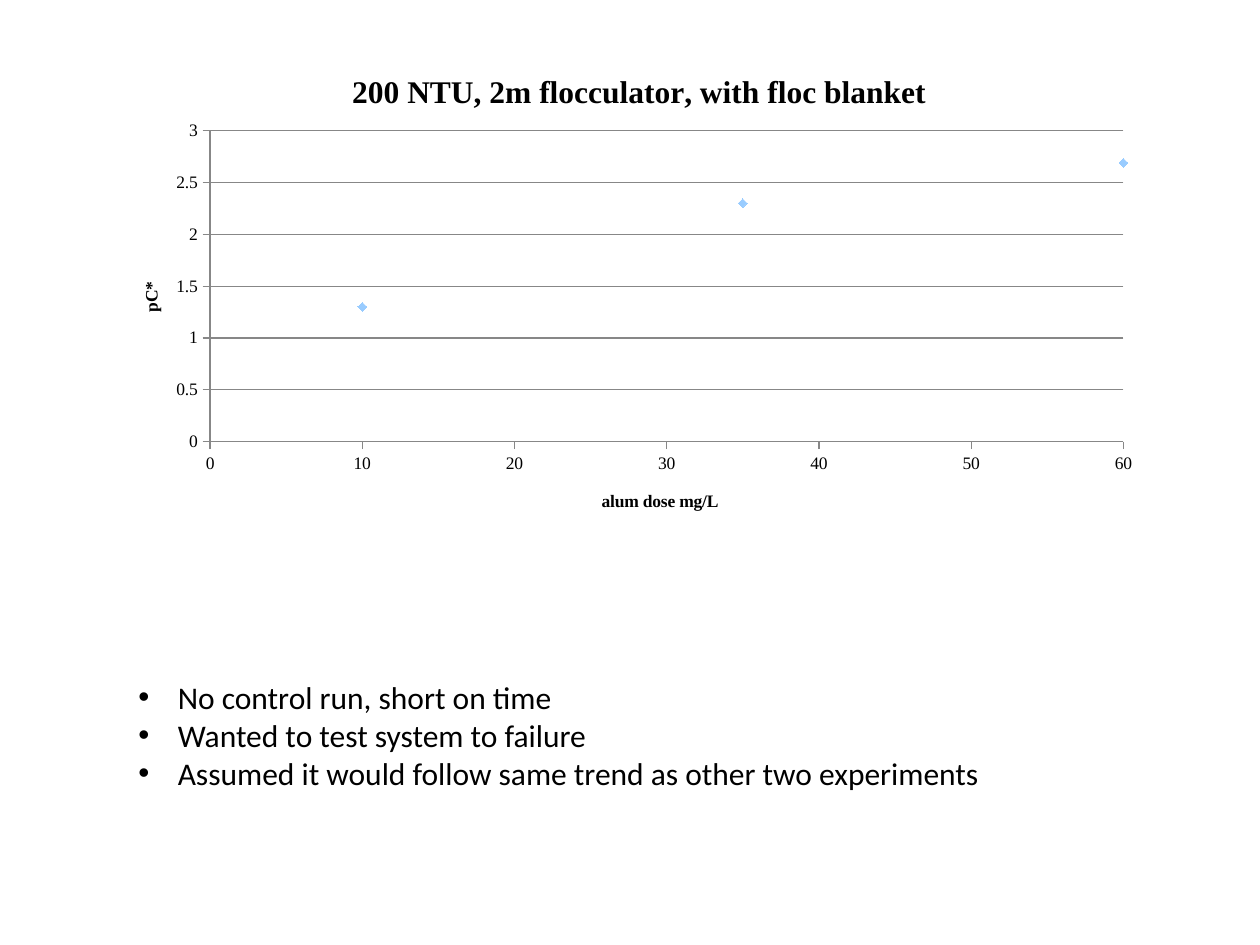
from lxml.etree import SubElement
from pptx import Presentation
from pptx.chart.data import XyChartData
from pptx.dml.color import RGBColor
from pptx.enum.chart import XL_CHART_TYPE as ChartType
from pptx.enum.chart import XL_MARKER_STYLE as Marker
from pptx.enum.chart import XL_TICK_MARK as Tick
from pptx.enum.text import MSO_AUTO_SIZE as AutoSize
from pptx.oxml.ns import qn
from pptx.util import Emu, Pt

BLACK, AXIS_GRAY, POINT_BLUE = "000000", "878787", "99CCFF"


def px(count):
    return Emu(count * 9525)


def color(hex_code):
    return RGBColor.from_string(hex_code)


def set_font(font, name, size, bold=False):
    font.name, font.size, font.bold = name, Pt(size), bold
    font.color.rgb = color(BLACK)


def set_line(line, hex_code):
    line.color.rgb = color(hex_code)
    line.width = Pt(0.75)


def set_layout(element, index, **fractions):
    """Place a chart part by fractions of the chart's size."""
    for old in element.findall(qn("c:layout")):
        element.remove(old)
    layout = SubElement(element, qn("c:layout"))
    element.insert(index, layout)
    manual = SubElement(layout, qn("c:manualLayout"))
    settings = {"xMode": "edge", "yMode": "edge", **fractions}
    if "w" in fractions:
        settings = {"layoutTarget": "inner", **settings}
    for tag, value in settings.items():
        SubElement(manual, qn(f"c:{tag}")).set("val", str(value))


def add_title(owner, text, size, x, y):
    title = owner.chart_title if hasattr(owner, "chart_title") else owner.axis_title
    run = title.text_frame.paragraphs[0].add_run()
    run.text = text
    set_font(run.font, "Times New Roman", size, bold=True)
    set_layout(title._element, 1, x=x, y=y)


def add_dose_chart(slide, left, top, width, height):
    doses = XyChartData()
    removal = doses.add_series("Series 1")
    for dose, pc_star in ((10, 1.3), (35, 2.3), (60, 2.69)):
        removal.add_data_point(dose, pc_star)
    chart = slide.shapes.add_chart(
        ChartType.XY_SCATTER, px(left), px(top), px(width), px(height), doses
    ).chart
    chart.has_legend = False
    set_font(chart.font, "Times New Roman", 10)
    add_title(chart, "200 NTU, 2m flocculator, with floc blanket", 18, 0.23, 0.05)

    # Axes
    dose_axis, removal_axis = chart.category_axis, chart.value_axis
    for axis, maximum, step in ((dose_axis, 60, 10), (removal_axis, 3, 0.5)):
        axis.minimum_scale, axis.maximum_scale, axis.major_unit = 0, maximum, step
        axis.major_tick_mark, axis.minor_tick_mark = Tick.OUTSIDE, Tick.NONE
        axis.tick_labels.number_format = "General"
        axis.tick_labels.number_format_is_linked = False
        set_line(axis.format.line, AXIS_GRAY)
    dose_axis.has_major_gridlines = False
    removal_axis.has_major_gridlines = True
    set_line(removal_axis.major_gridlines.format.line, AXIS_GRAY)
    add_title(dose_axis, "alum dose mg/L", 10, 0.47, 0.9)
    add_title(removal_axis, "pC*", 10, 0.03, 0.48)

    # Points
    plot = chart.plots[0]
    plot.vary_by_categories = False
    points = plot.series[0]
    points.smooth = False
    points.format.line.fill.background()
    points.marker.style, points.marker.size = Marker.DIAMOND, 5
    points.marker.format.fill.solid()
    points.marker.format.fill.fore_color.rgb = color(POINT_BLUE)
    points.marker.format.line.color.rgb = color(POINT_BLUE)
    plot_area = chart._chartSpace.find(f".//{qn('c:plotArea')}")
    set_layout(plot_area, 0, x=0.1, y=0.18, w=0.87, h=0.63)


def add_remarks(slide, left, top, width, height, remarks):
    frame = slide.shapes.add_textbox(px(left), px(top), px(width), px(height)).text_frame
    frame.word_wrap = True
    frame.auto_size = AutoSize.SHAPE_TO_FIT_TEXT
    for number, remark in enumerate(remarks):
        paragraph = frame.add_paragraph() if number else frame.paragraphs[0]
        properties = paragraph._p.get_or_add_pPr()
        properties.set("marL", str(px(30)))
        properties.set("indent", str(px(-30)))
        SubElement(properties, qn("a:buFont")).set("typeface", "Arial")
        SubElement(properties, qn("a:buChar")).set("char", "•")
        run = paragraph.add_run()
        run.text = remark
        set_font(run.font, "Calibri", 18)


def main():
    deck = Presentation()
    deck.slide_width, deck.slide_height = px(960), px(720)
    slide = deck.slides.add_slide(deck.slide_layouts[6])
    add_dose_chart(slide, 80, 32, 800, 376)
    add_remarks(slide, 96, 512, 835, 97, (
        "No control run, short on time",
        "Wanted to test system to failure",
        "Assumed it would follow same trend as other two experiments",
    ))
    deck.save("out.pptx")


if __name__ == "__main__":
    main()
